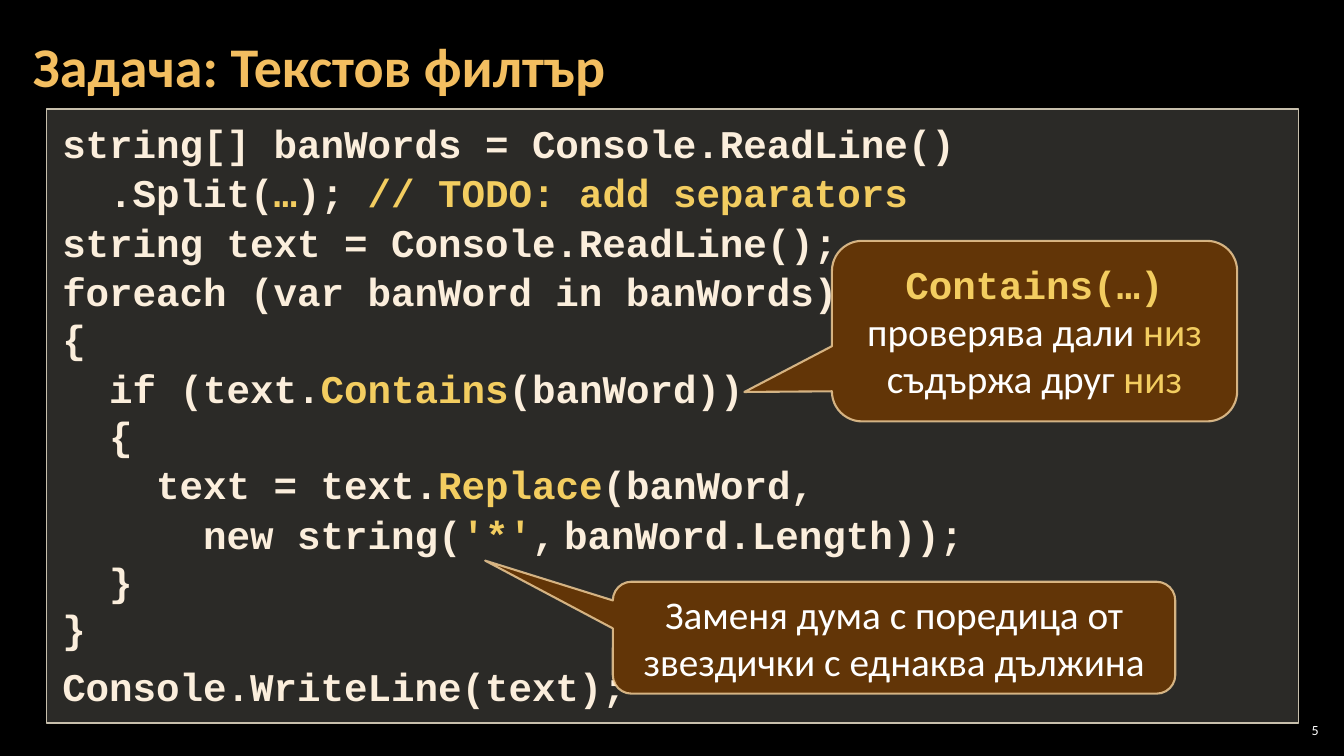
from dataclasses import dataclass

from lxml import etree
from pptx import Presentation
from pptx.dml.color import RGBColor
from pptx.enum.shapes import MSO_SHAPE
from pptx.enum.text import MSO_ANCHOR, MSO_AUTO_SIZE, PP_ALIGN
from pptx.oxml.ns import qn
from pptx.util import Cm, Pt

RECT = MSO_SHAPE.RECTANGLE
BUBBLE = MSO_SHAPE.ROUNDED_RECTANGULAR_CALLOUT
TOP, MID = MSO_ANCHOR.TOP, MSO_ANCHOR.MIDDLE
LEFT, MIDDLE, RIGHT = PP_ALIGN.LEFT, PP_ALIGN.CENTER, PP_ALIGN.RIGHT
GROW = MSO_AUTO_SIZE.SHAPE_TO_FIT_TEXT


@dataclass(frozen=True)
class Theme:
    sans: str = "Calibri"
    mono: str = "Courier New"
    back: str = "000000"
    title: str = "F3BE60"
    code: str = "FBEEDC"
    mark: str = "F3CD60"
    white: str = "FFFFFF"
    panel: str = "D9D5C7"
    edge: str = "C7BFAC"
    brown: str = "663606"
    rim: str = "F8D49E"
    head: float = 40
    body: float = 28
    gap: float = 10
    page: float = 10


@dataclass(frozen=True)
class Box:
    """Position and size in centimetres."""
    left: float
    top: float
    width: float
    height: float

    def spot(self) -> tuple:
        return Cm(self.left), Cm(self.top), Cm(self.width), Cm(self.height)


@dataclass(frozen=True)
class Style:
    font: str
    size: float
    color: str
    bold: bool = False


@dataclass(frozen=True)
class Note:
    """A callout: its box, its tip, and its text pieces with styles."""
    box: Box
    tip: tuple
    words: tuple


T = Theme()
HEAD = Style(T.sans, T.head, T.title, True)
CODE = Style(T.mono, T.body, T.code, True)
MARK = Style(T.mono, T.body, T.mark, True)
THIN = Style(T.mono, T.gap, T.code, True)
TALK = Style(T.sans, T.body, T.white)
WORD = Style(T.sans, T.body, T.mark)
PAGE = Style(T.sans, T.page, T.white)

# Bars enclose the highlighted pieces of a line
LINES = (
    "string[] banWords = Console.ReadLine()",
    "  .Split(|…|); |// TODO: add separators|",
    "string text = Console.ReadLine();",
    "foreach (var banWord in banWords)",
    "{",
    "  if (text.|Contains|(banWord))",
    "  {",
    "    text = text.|Replace|(banWord,",
    "      new string(|'*'|, banWord.Length));",
    "  }",
    "}",
    "Console.WriteLine(text);",
)

NOTES = (
    Note(Box(20.96, 6.07, 10.21, 4.55), (-0.716, 0.337, 0.167), (
        ("Contains(…) ", MARK), ("проверява дали ", TALK), ("низ", WORD),
        (" съдържа друг ", TALK), ("низ", WORD))),
    Note(Box(15.44, 14.66, 14.17, 2.82), (-0.727, -0.689, 0.167), (
        ("Заменя дума с поредица от звездички с еднаква дължина", TALK),)),
)


def paint(fill, color: str) -> None:
    fill.solid()
    fill.fore_color.rgb = RGBColor.from_string(color)


def fade(holder, alpha: int) -> None:
    """Give the solid fill under an element an opacity in percent."""
    color = holder.find(qn("a:solidFill"))[0]
    etree.SubElement(color, qn("a:alpha")).set("val", str(alpha * 1000))


def write(para, words, align=LEFT) -> None:
    """Fill a paragraph with styled pieces."""
    para.alignment = align
    for text, style in words:
        run = para.add_run()
        run.text = text
        font = run.font
        font.name, font.size, font.bold = style.font, Pt(style.size), style.bold
        font.color.rgb = RGBColor.from_string(style.color)


def setup(shape, anchor, side: float, edge: float):
    """Prepare a text frame with equal insets per axis."""
    frame = shape.text_frame
    frame.word_wrap = True
    frame.vertical_anchor = anchor
    frame.margin_left = frame.margin_right = Cm(side)
    frame.margin_top = frame.margin_bottom = Cm(edge)
    return frame


def label(slide, box: Box, text: str, style: Style, side: float, align) -> None:
    frame = setup(slide.shapes.add_textbox(*box.spot()), MID, side, 0.1)
    write(frame.paragraphs[0], ((text, style),), align)


def panel(slide, kind, box: Box, fill: tuple, line: tuple, width: float):
    """Draw a shape; fill and line are pairs of colour and opacity."""
    shape = slide.shapes.add_shape(kind, *box.spot())
    shape.shadow.inherit = False
    paint(shape.fill, fill[0])
    paint(shape.line.fill, line[0])
    shape.line.width = Pt(width)
    props = shape.element.spPr
    fade(props, fill[1])
    fade(props.find(qn("a:ln")), line[1])
    return shape


def pieces(line: str):
    """Split a code line into plain, marked and narrow-space pieces."""
    for i, text in enumerate(line.split("|")):
        if text.startswith(", "):
            yield from ((",", CODE), (" ", THIN), (text[2:], CODE))
        elif text:
            yield text, MARK if i % 2 else CODE


def listing(slide) -> None:
    shape = panel(slide, RECT, Box(1.17, 2.75, 31.55, 15.47),
                  (T.panel, 20), (T.edge, 100), 1)
    frame = setup(shape, TOP, 0.4, 0.2)
    frame.auto_size = GROW
    for i, line in enumerate(LINES):
        para = frame.add_paragraph() if i else frame.paragraphs[0]
        write(para, pieces(line))
        para.line_spacing = 1.0 if line.strip() in "{}" else 1.05
        if line == "}":
            para.space_after = Pt(6)


def callout(slide, note: Note) -> None:
    shape = panel(slide, BUBBLE, note.box, (T.brown, 95), (T.rim, 80), 1.5)
    for i, value in enumerate(note.tip):
        shape.adjustments[i] = value
    frame = setup(shape, MID, 0.25, 0.13)
    write(frame.paragraphs[0], note.words, MIDDLE)


def main() -> None:
    deck = Presentation()
    deck.slide_width, deck.slide_height = Cm(33.86), Cm(19.05)
    slide = deck.slides.add_slide(deck.slide_layouts[6])
    paint(slide.background.fill, T.back)

    # Title, code and callouts
    label(slide, Box(0.53, 0.1, 32.8, 3.07), "Задача: Текстов филтър",
          HEAD, 0.3, LEFT)
    listing(slide)
    for note in NOTES:
        callout(slide, note)

    # Page number
    label(slide, Box(32.13, 18.14, 1.19, 0.53), "5", PAGE, 0.1, RIGHT)
    deck.save("out.pptx")


if __name__ == "__main__":
    main()
